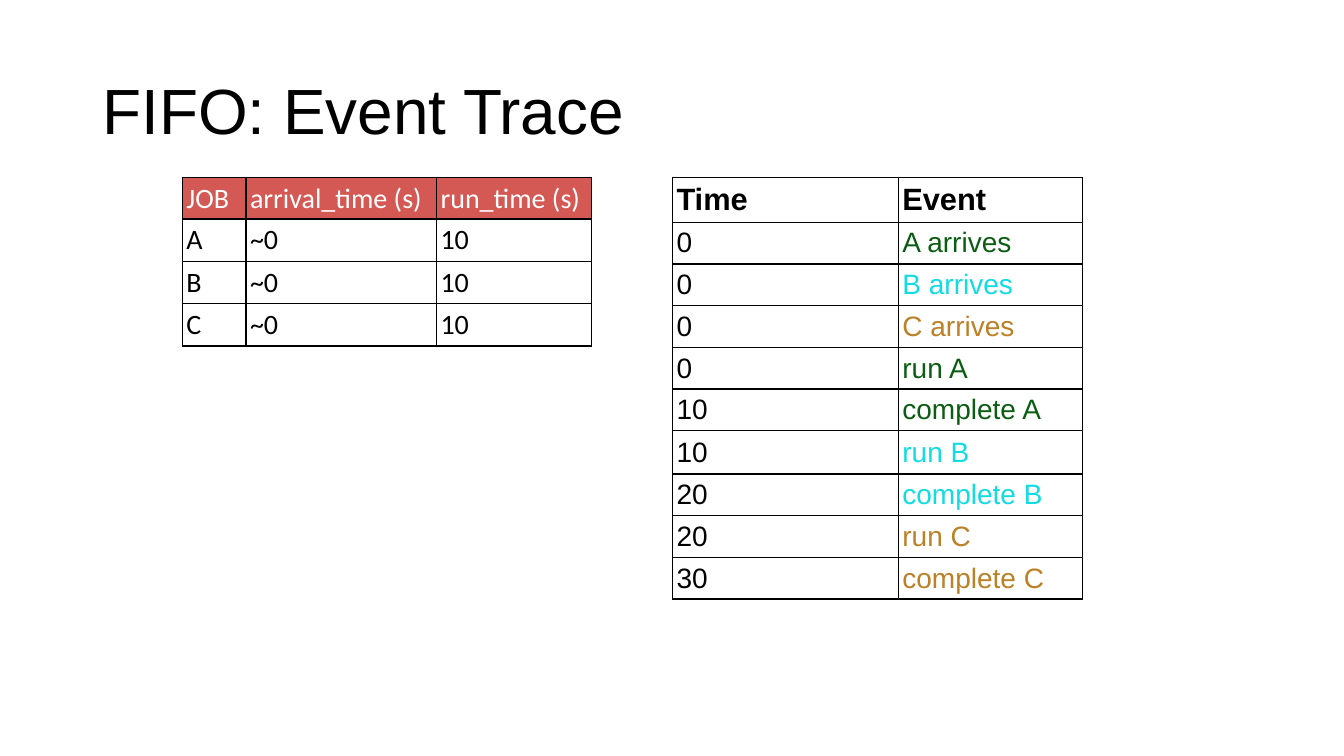
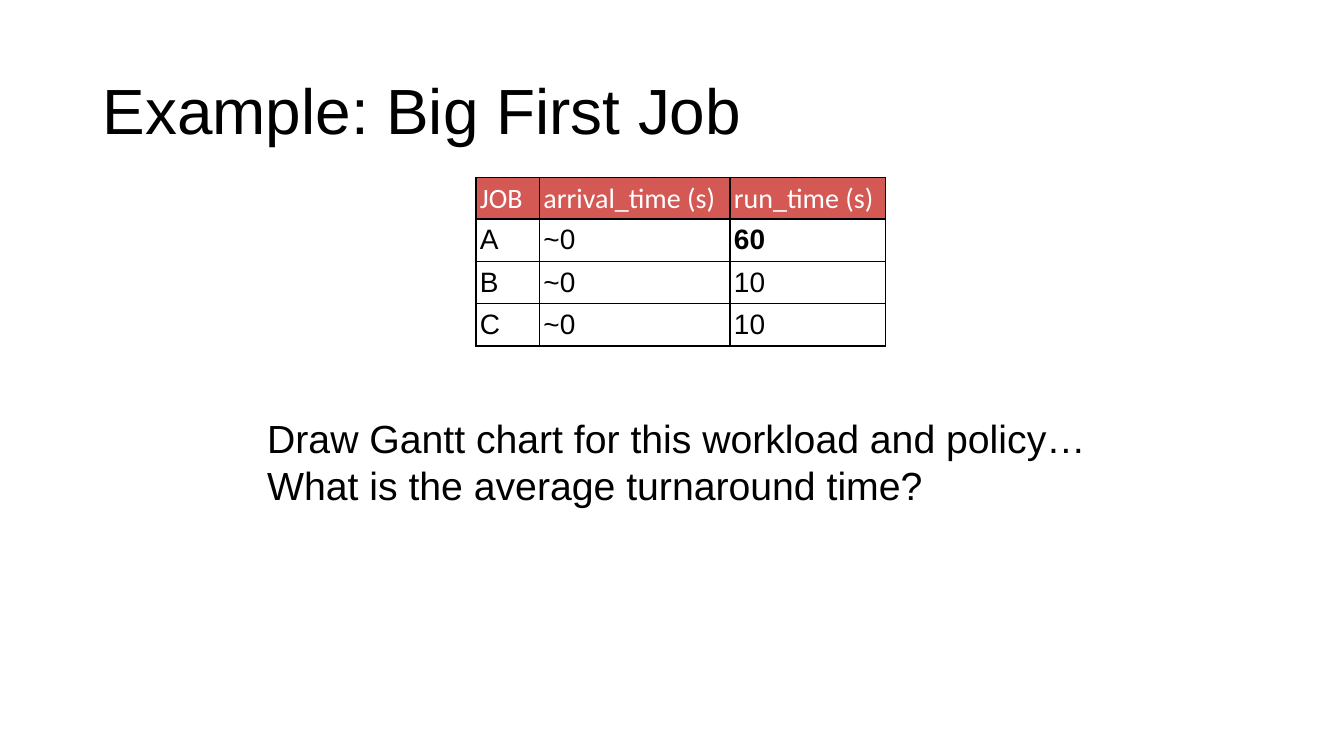
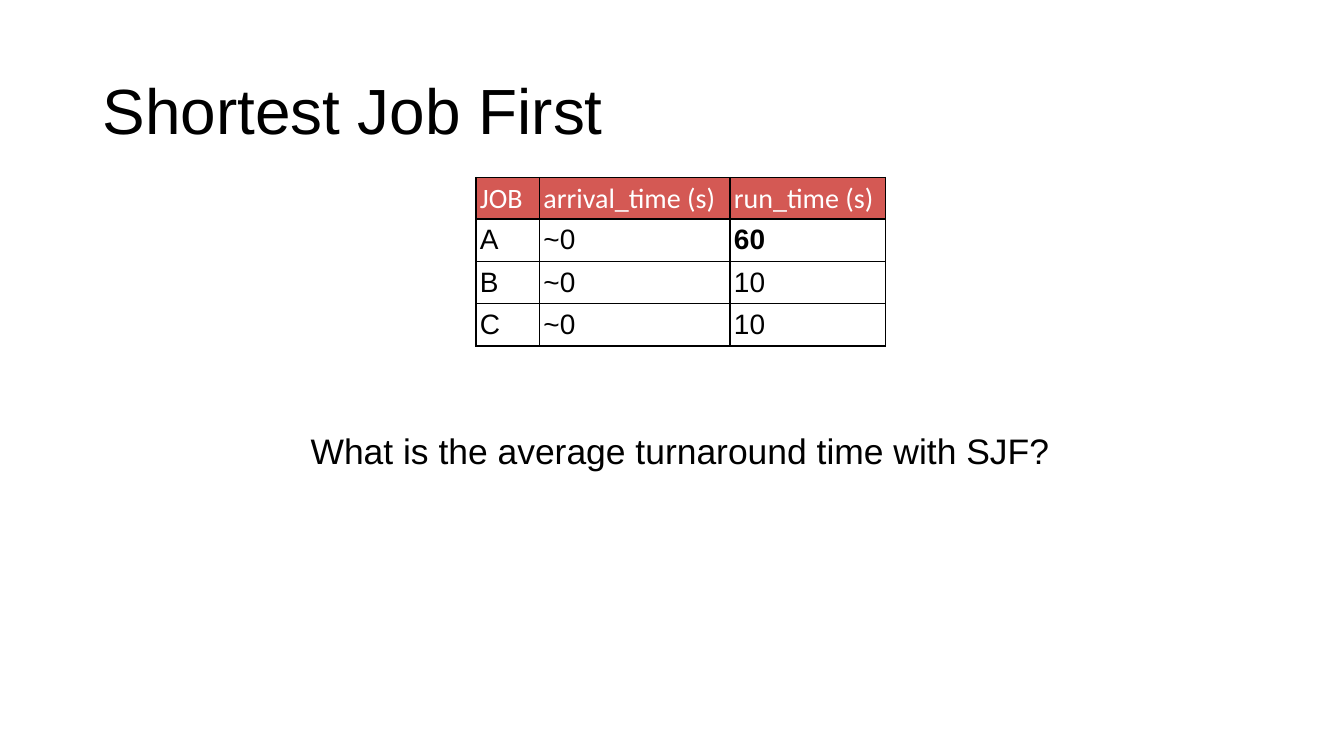
import dataclasses
import typing

import pptx
import pptx.dml.color
import pptx.enum.text
import pptx.oxml
import pptx.oxml.ns
import pptx.util

Inches = pptx.util.Inches
Pt = pptx.util.Pt

COLORS = {
    "text": "000000",
    "light": "FFFFFF",
    "head": "D45954",
    "A": "0B5D12",
    "B": "11DBE3",
    "C": "BC8027",
}
SANS = "Arial"
BODY = "Calibri"
INSET = 0.04
TOP = 1.76
JOB_COLS = [0.63, 1.89, 1.54]
JOB_ROWS = [0.41, 0.42, 0.42, 0.42]
EVENT_COLS = [2.24, 1.83]
EVENT_ROWS = [0.44] + [0.41] * 5 + [0.43] + [0.41] * 3
EVENTS = [
    ("0", "A arrives", "A"),
    ("0", "B arrives", "B"),
    ("0", "C arrives", "C"),
    ("0", "run A", "A"),
    ("10", "complete A", "A"),
    ("10", "run B", "B"),
    ("20", "complete B", "B"),
    ("20", "run C", "C"),
    ("30", "complete C", "C"),
]


@dataclasses.dataclass
class Style:
    size: float
    font: str = SANS
    color: str = "text"
    bold: bool = False


@dataclasses.dataclass
class Entry:
    text: str
    style: Style
    fill: typing.Optional[str] = None


@dataclasses.dataclass
class Box:
    left: float
    top: float
    width: float
    height: float
    lines: list[str]
    style: Style
    inset: float = INSET
    spacing: float = 1.0


@dataclasses.dataclass
class Page:
    title: str
    left: float
    first: str
    font: str
    note: typing.Optional[Box] = None
    trace: bool = False


PAGES = [
    Page("FIFO: Event Trace", 1.81, "10", BODY, trace=True),
    Page("Example: Big First Job", 4.72, "60", SANS, Box(
        2.61, 4.07, 8.3, 1.02,
        ["Draw Gantt chart for this workload and policy…",
         "What is the average turnaround time?"], Style(28))),
    Page("Shortest Job First", 4.72, "60", SANS, Box(
        3.04, 4.22, 7.58, 0.5,
        ["What is the average turnaround time with SJF?"], Style(25.3))),
]


def rgb(name: str) -> pptx.dml.color.RGBColor:
    return pptx.dml.color.RGBColor.from_string(COLORS[name])


def format_runs(par, style: Style) -> None:
    for run in par.runs:
        run.font.name = style.font
        run.font.size = Pt(style.size)
        run.font.bold = style.bold
        run.font.color.rgb = rgb(style.color)


def draw_box(slide, box: Box) -> None:
    shape = slide.shapes.add_textbox(
        Inches(box.left), Inches(box.top), Inches(box.width), Inches(box.height))
    frame = shape.text_frame
    frame.word_wrap = True
    frame.vertical_anchor = pptx.enum.text.MSO_ANCHOR.MIDDLE
    frame.margin_left = frame.margin_right = Inches(box.inset)
    frame.margin_top = frame.margin_bottom = Inches(INSET)
    frame.text = "\n".join(box.lines)
    for par in frame.paragraphs:
        par.line_spacing = box.spacing
        format_runs(par, box.style)


def draw_edges(cell) -> None:
    props = cell._tc.get_or_add_tcPr()
    space = pptx.oxml.ns.nsdecls("a")
    for side in "LRTB":
        props.append(pptx.oxml.parse_xml(
            f'<a:ln{side} {space} w="{Pt(1)}"><a:solidFill>'
            f'<a:srgbClr val="{COLORS["text"]}"/></a:solidFill></a:ln{side}>'))


def fill_cell(cell, entry: Entry) -> None:
    cell.margin_left = cell.margin_right = Inches(INSET)
    cell.margin_top = cell.margin_bottom = Inches(INSET)
    cell.vertical_anchor = pptx.enum.text.MSO_ANCHOR.MIDDLE
    cell.text_frame.text = entry.text
    format_runs(cell.text_frame.paragraphs[0], entry.style)
    draw_edges(cell)
    if entry.fill:
        cell.fill.solid()
        cell.fill.fore_color.rgb = rgb(entry.fill)
    else:
        cell.fill.background()


def draw_table(slide, left: float, cols: list[float], rows: list[float],
               grid: list[list[Entry]]) -> None:
    table = slide.shapes.add_table(
        len(rows), len(cols), Inches(left), Inches(TOP),
        Inches(sum(cols)), Inches(sum(rows))).table
    table.first_row = table.horz_banding = False
    for col, width in zip(table.columns, cols):
        col.width = Inches(width)
    for row, height, entries in zip(table.rows, rows, grid):
        row.height = Inches(height)
        for cell, entry in zip(row.cells, entries):
            fill_cell(cell, entry)


def job_grid(first: str, font: str) -> list[list[Entry]]:
    head = Style(20, BODY, "light")
    plain = Style(20, font)
    grid = [[Entry(text, head, "head")
             for text in ("JOB", "arrival_time (s)", "run_time (s)")]]
    for job, time in zip("ABC", (first, "10", "10")):
        last = Style(20, font, bold=time == "60")
        grid.append([Entry(job, plain), Entry("~0", plain), Entry(time, last)])
    return grid


def event_grid() -> list[list[Entry]]:
    head = Style(22, bold=True)
    grid = [[Entry("Time", head), Entry("Event", head)]]
    for time, event, job in EVENTS:
        grid.append([Entry(time, Style(20)), Entry(event, Style(20, color=job))])
    return grid


def draw_page(deck, page: Page) -> None:
    slide = deck.slides.add_slide(deck.slide_layouts[6])
    draw_box(slide, Box(0.92, 0.4, 11.5, 1.45, [page.title], Style(45.6),
                        inset=0.1, spacing=0.9))
    if page.trace:
        draw_table(slide, 6.67, EVENT_COLS, EVENT_ROWS, event_grid())
    draw_table(slide, page.left, JOB_COLS, JOB_ROWS,
               job_grid(page.first, page.font))
    if page.note:
        draw_box(slide, page.note)


def main() -> None:
    deck = pptx.Presentation()
    deck.slide_width = Inches(13.33)
    deck.slide_height = Inches(7.5)
    for page in PAGES:
        draw_page(deck, page)
    deck.save("out.pptx")


if __name__ == "__main__":
    main()
